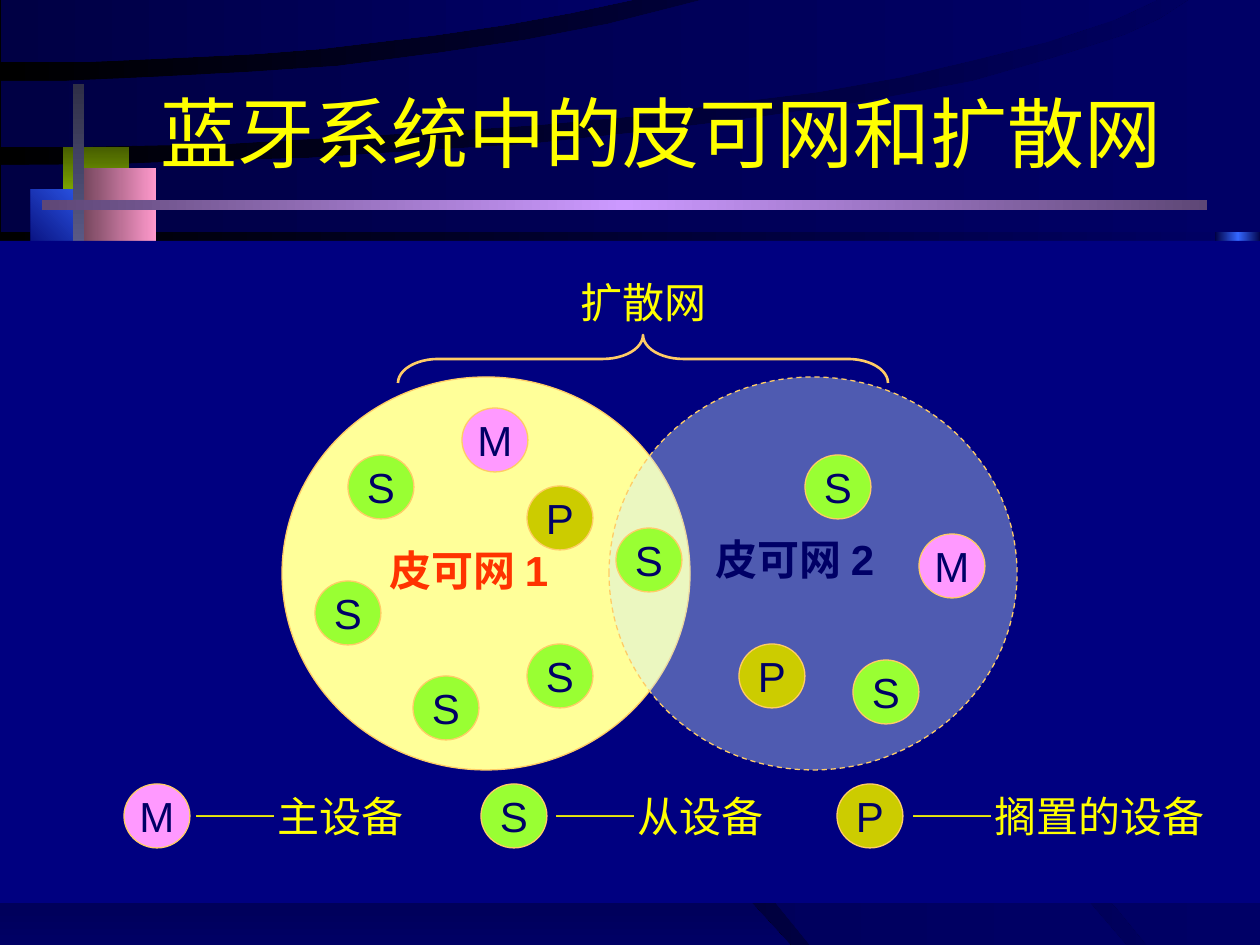
from copy import deepcopy

from lxml.etree import SubElement
from pptx import Presentation
from pptx.dml.color import RGBColor
from pptx.enum.dml import MSO_LINE_DASH_STYLE as Dash
from pptx.enum.shapes import MSO_SHAPE as Shape
from pptx.enum.text import MSO_ANCHOR as Anchor, MSO_AUTO_SIZE as AutoSize, PP_ALIGN as Align
from pptx.oxml.ns import qn
from pptx.util import Pt

PX = 914400 / 126

BLACK = RGBColor(0x00, 0x00, 0x00)
NIGHT = RGBColor(0x00, 0x00, 0x44)
NAVY = RGBColor(0x00, 0x00, 0x66)
PANEL = RGBColor(0x00, 0x00, 0x80)
BLUE = RGBColor(0x33, 0x66, 0xFF)
OLIVE = RGBColor(0x47, 0x5E, 0x00)
LEAF = RGBColor(0x99, 0xCC, 0x00)
MAUVE = RGBColor(0x76, 0x47, 0x5E)
ROSE = RGBColor(0xFF, 0x99, 0xCC)
SLATE = RGBColor(0x2F, 0x2F, 0x47)
STEEL = RGBColor(0x66, 0x66, 0x99)
PLUM = RGBColor(0x5E, 0x47, 0x76)
LILAC = RGBColor(0xCC, 0x99, 0xFF)
YELLOW = RGBColor(0xFF, 0xFF, 0x00)
CREAM = RGBColor(0xFF, 0xFF, 0x99)
ICE = RGBColor(0xCC, 0xEC, 0xFF)
GOLD = RGBColor(0xFF, 0xCC, 0x66)
RED = RGBColor(0xFF, 0x33, 0x00)

DEVICE_FILLS = {
    "M": RGBColor(0xFF, 0x99, 0xFF),
    "S": RGBColor(0x99, 0xFF, 0x33),
    "P": RGBColor(0xCC, 0xCC, 0x00),
}

DARK_SWEEP = [
    (0, 948), (0, 621), (110, 626), (244, 644), (386, 680), (488, 718),
    (583, 766), (667, 823), (728, 877), (771, 924), (793, 948),
]
SWEEPS = [
    [(596, 617), (482, 586), (372, 562), (261, 546), (165, 536), (1, 529),
     (1, 604), (134, 610), (234, 624), (339, 648), (432, 677), (525, 716),
     (621, 769), (698, 824), (762, 886), (810, 945), (1126, 945), (1089, 902),
     (1012, 832), (917, 764), (813, 704), (708, 658)],
    [(1, 436), (1, 510), (178, 518), (280, 529), (393, 548), (512, 575),
     (609, 602), (708, 639), (803, 679), (908, 737), (984, 786), (1057, 847),
     (1116, 907), (1147, 945), (1261, 945), (1261, 708), (1183, 659),
     (1101, 620), (1032, 592), (931, 557), (828, 529), (719, 505), (600, 483),
     (485, 466), (365, 454), (247, 445), (123, 438)],
    [(1, 165), (1, 232), (1261, 232), (1261, 0), (1189, 0), (1160, 19),
     (1125, 35), (1053, 58), (973, 81), (863, 102), (753, 118), (641, 132),
     (530, 144), (416, 151), (309, 158), (199, 161), (118, 164)],
    [(1, 81), (1, 147), (68, 147), (224, 144), (341, 137), (431, 132),
     (537, 125), (636, 116), (728, 103), (818, 92), (902, 77), (974, 60),
     (1047, 42), (1114, 20), (1157, 0), (702, 0), (608, 24), (525, 40),
     (438, 53), (338, 66), (249, 72), (154, 77), (62, 81)],
    [(1, 0), (1, 62), (86, 62), (174, 58), (256, 54), (320, 49), (437, 35),
     (505, 25), (571, 13), (632, 0)],
]
BLOCKS = [
    (63, 147, 66, 66, (OLIVE, LEAF), 90),
    (31, 189, 77, 84, (NAVY, BLUE), 315),
    (84, 168, 72, 73, (MAUVE, ROSE), 0),
    (73, 84, 11, 410, (SLATE, STEEL, SLATE), 90),
    (42, 200, 1165, 10, (PLUM, LILAC, PLUM), 0),
]
DEVICES = [
    ("M", 462, 408), ("M", 919, 534), ("S", 315, 581), ("S", 348, 455),
    ("P", 739, 644), ("S", 616, 528), ("S", 527, 644), ("S", 413, 676),
    ("S", 853, 660), ("S", 805, 455), ("P", 527, 486),
]
LEGEND = [
    ("M", 124, 181, 236, "主设备"),
    ("S", 481, 541, 236, "从设备"),
    ("P", 837, 898, 320, "搁置的设备"),
]


def px(*values):
    return [round(v * PX) for v in values]


def set_gradient(shape, colors, angle):
    fill = shape.fill
    fill.gradient()
    fill.gradient_angle = -angle % 360
    if len(colors) == 3:
        stops = shape.element.spPr.find(".//" + qn("a:gsLst"))
        middle = deepcopy(stops[0])
        middle.set("pos", "50000")
        stops.insert(1, middle)
    for stop, color in zip(fill.gradient_stops, colors):
        stop.color.rgb = color


def add_shape(s, kind, box, fill=None, line=None, width=0.75):
    sp = s.shapes.add_shape(kind, *px(*box))
    sp.shadow.inherit = False
    if fill is None:
        sp.fill.background()
    else:
        sp.fill.solid()
        sp.fill.fore_color.rgb = fill
    if line is None:
        sp.line.fill.background()
    else:
        sp.line.color.rgb = line
        sp.line.width = Pt(width)
    return sp


def add_gradient_bar(s, box, colors, angle):
    set_gradient(add_shape(s, Shape.RECTANGLE, box), colors, angle)


def add_sweep(s, points, colors, angle):
    builder = s.shapes.build_freeform(*points[0], scale=PX)
    builder.add_line_segments(points[1:])
    sp = builder.convert_to_shape()
    sp.shadow.inherit = False
    sp.line.fill.background()
    set_gradient(sp, colors, angle)


def style(p, size, color, font=None, bold=False):
    p.font.size = Pt(size)
    p.font.color.rgb = color
    p.font.bold = bold
    if font:
        p.font.name = font


def add_device(s, role, x, y):
    sp = add_shape(s, Shape.OVAL, (x, y, 66, 64), DEVICE_FILLS[role], GOLD)
    tf = sp.text_frame
    tf.word_wrap = False
    tf.vertical_anchor = Anchor.MIDDLE
    p = tf.paragraphs[0]
    p.text = role
    p.alignment = Align.CENTER
    style(p, 24, NAVY, "Arial")


def add_label(s, box, runs, color, bold=False):
    tf = s.shapes.add_textbox(*px(*box)).text_frame
    tf.word_wrap = False
    tf.auto_size = AutoSize.SHAPE_TO_FIT_TEXT
    p = tf.paragraphs[0]
    style(p, 24, color, bold=bold)
    for text, font in runs:
        r = p.add_run()
        r.text = text
        r.font.name = font


def add_title(s, text):
    tf = s.shapes.add_textbox(*px(126, 53, 1071, 158)).text_frame
    tf.word_wrap = True
    tf.vertical_anchor = Anchor.MIDDLE
    p = tf.paragraphs[0]
    p.text = text
    p.alignment = Align.CENTER
    style(p, 44, YELLOW, "Times New Roman")


def add_backdrop(s):
    fill = s.background.fill
    fill.gradient()
    fill.gradient_angle = 0
    for stop, color in zip(fill.gradient_stops, (BLACK, NAVY)):
        stop.color.rgb = color
    add_gradient_bar(s, (1215, 2, 46, 945), (NIGHT, BLUE, NIGHT), 0)
    add_sweep(s, DARK_SWEEP, (BLACK, NAVY), 90)
    for points in SWEEPS:
        add_sweep(s, points, (NIGHT, NAVY), 0)
    for *box, colors, angle in BLOCKS:
        add_gradient_bar(s, box, colors, angle)
    add_shape(s, Shape.RECTANGLE, (0, 241, 1260, 662), PANEL)


def add_piconets(s):
    add_shape(s, Shape.OVAL, (282, 377, 408, 393), CREAM, GOLD)
    second = add_shape(s, Shape.OVAL, (609, 377, 408, 393), ICE, GOLD)
    second.line.dash_style = Dash.DASH
    color = second.element.spPr.find(qn("a:solidFill"))[0]
    SubElement(color, qn("a:alpha")).set("val", "39000")


def add_brace(s):
    brace = add_shape(s, Shape.LEFT_BRACE, (619, 114, 48, 490), None, GOLD, 1.5)
    brace.rotation = 90
    brace.adjustments[0] = 0.84


def main():
    prs = Presentation()
    prs.slide_width, prs.slide_height = px(1260, 945)
    s = prs.slides.add_slide(prs.slide_layouts[6])
    add_backdrop(s)
    add_title(s, "蓝牙系统中的皮可网和扩散网")
    add_piconets(s)
    for role, x, y in DEVICES:
        add_device(s, role, x, y)
    add_label(s, (703, 527, 194, 63), [("皮可网 2", "Arial")], NAVY, True)
    add_label(s, (568, 270, 151, 63), [("扩散网", "Arial")], YELLOW)
    add_brace(s)
    add_label(s, (377, 538, 194, 63), [("皮可网 1", "Arial")], RED, True)
    for role, x, label_x, width, name in LEGEND:
        add_device(s, role, x, 784)
        runs = [("——", "Arial"), (name, "Roboto")]
        add_label(s, (label_x, 784, width, 63), runs, YELLOW)
    prs.save("out.pptx")


if __name__ == "__main__":
    main()
